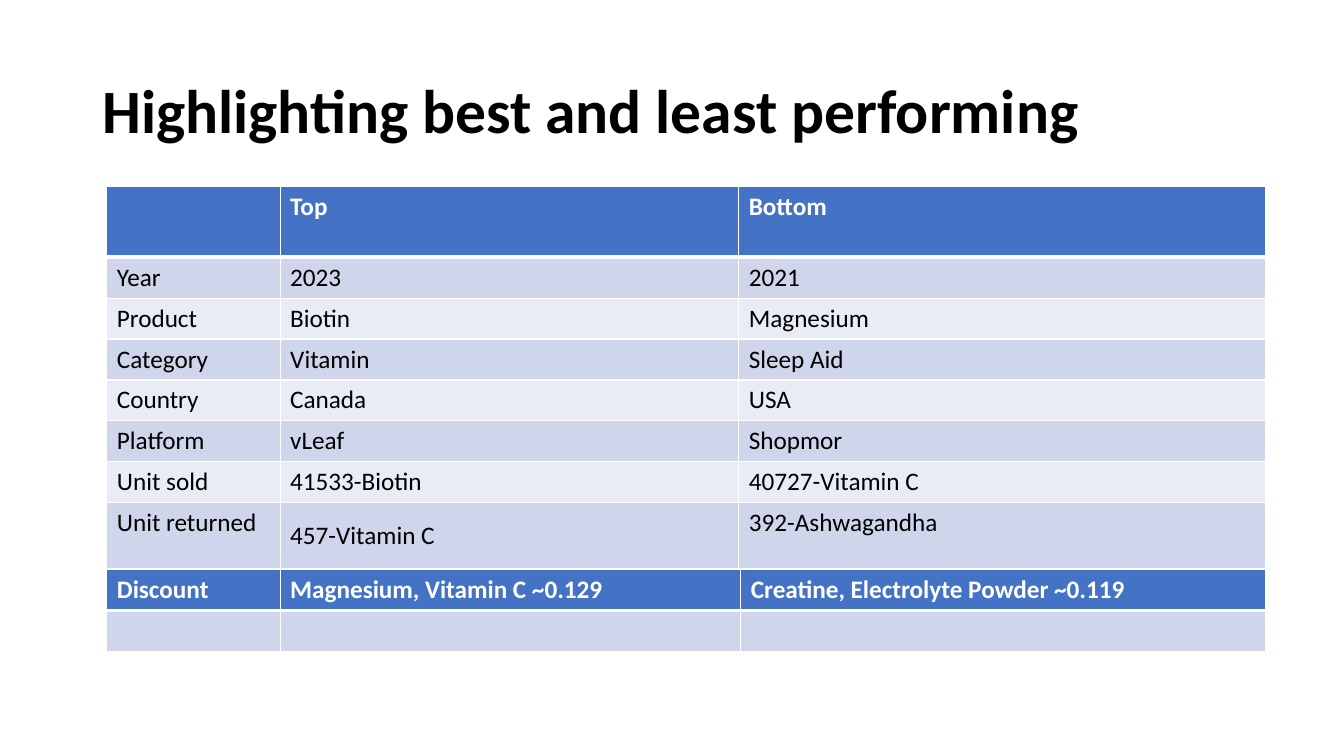
from dataclasses import dataclass

import pptx
import pptx.dml.color
import pptx.enum.text
import pptx.oxml
import pptx.oxml.ns
import pptx.slide
import pptx.table
import pptx.text.text
import pptx.util

Pt = pptx.util.Pt
ANCHOR = pptx.enum.text.MSO_ANCHOR


@dataclass(frozen=True)
class Theme:
    font: str = "Calibri"
    ink: str = "000000"
    white: str = "FFFFFF"
    accent: str = "4472C4"
    band_dark: str = "CFD5EA"
    band_light: str = "E9EBF5"
    title_size: float = 44
    body_size: float = 18
    thin: float = 1
    thick: float = 3


@dataclass(frozen=True)
class TableRow:
    height: float
    label: str = ""
    top: str = ""
    bottom: str = ""
    header: bool = False
    top_anchor: ANCHOR = ANCHOR.TOP


@dataclass(frozen=True)
class TableBlock:
    y: float
    widths: tuple[float, ...]
    rows: tuple[TableRow, ...]


THEME = Theme()
TABLE_X = 76.3
ROW_H = 29.2

PERFORMANCE = TableBlock(133.2, (123.8, 327.6, 376.6), (
    TableRow(50.6, "", "Top", "Bottom", header=True),
    TableRow(ROW_H, "Year", "2023", "2021"),
    TableRow(ROW_H, "Product", "Biotin", "Magnesium"),
    TableRow(ROW_H, "Category", "Vitamin", "Sleep Aid"),
    TableRow(ROW_H, "Country", "Canada", "USA"),
    TableRow(ROW_H, "Platform", "vLeaf", "Shopmor"),
    TableRow(ROW_H, "Unit sold", "41533-Biotin", "40727-Vitamin C"),
    TableRow(47.4, "Unit returned", "457-Vitamin C", "392-Ashwagandha",
             top_anchor=ANCHOR.MIDDLE),
))
DISCOUNT = TableBlock(406.8, (123.8, 329, 375.2), (
    TableRow(ROW_H, "Discount", "Magnesium, Vitamin C ~0.129",
             "Creatine, Electrolyte Powder ~0.119", header=True),
    TableRow(ROW_H),
))


def write(tf: pptx.text.text.TextFrame, text: str, *, size: float = THEME.body_size,
          color: str = THEME.ink, bold: bool = False, spacing: float = 1.0) -> None:
    p = tf.paragraphs[0]
    p.line_spacing = spacing
    p.font.size = Pt(size)
    if not text:
        return
    r = p.add_run()
    r.text = text
    r.font.name = THEME.font
    r.font.size = Pt(size)
    r.font.bold = bold
    r.font.color.rgb = pptx.dml.color.RGBColor.from_string(color)


def set_borders(cell: pptx.table._Cell, top: float, bottom: float) -> None:
    """Draw white borders, thin at the sides, with the given top and bottom widths."""
    tc_pr = cell._tc.get_or_add_tcPr()
    widths = {"L": THEME.thin, "R": THEME.thin, "T": top, "B": bottom}
    for i, (side, width) in enumerate(widths.items()):
        ln = pptx.oxml.parse_xml(
            f'<a:ln{side} {pptx.oxml.ns.nsdecls("a")} w="{Pt(width)}">'
            f'<a:solidFill><a:srgbClr val="{THEME.white}"/></a:solidFill></a:ln{side}>')
        tc_pr.insert(i, ln)


def add_title(slide: pptx.slide.Slide, text: str) -> None:
    tf = slide.shapes.add_textbox(Pt(66), Pt(28.8), Pt(828), Pt(104.4)).text_frame
    tf.word_wrap = True
    tf.vertical_anchor = ANCHOR.MIDDLE
    write(tf, text, size=THEME.title_size, bold=True, spacing=0.9)


def add_block(slide: pptx.slide.Slide, block: TableBlock) -> None:
    """Add a table with a header row and alternating bands below it."""
    frame = slide.shapes.add_table(
        len(block.rows), len(block.widths), Pt(TABLE_X), Pt(block.y),
        Pt(sum(block.widths)), Pt(sum(row.height for row in block.rows)))
    table = frame.table
    table.first_row = table.horz_banding = False
    for column, width in zip(table.columns, block.widths):
        column.width = Pt(width)

    for i, row in enumerate(block.rows):
        table.rows[i].height = Pt(row.height)
        band = THEME.band_dark if i % 2 else THEME.band_light
        fill = THEME.accent if row.header else band
        top = THEME.thick if i == 1 else THEME.thin
        bottom = THEME.thick if row.header else THEME.thin
        anchors = (ANCHOR.TOP, row.top_anchor, ANCHOR.TOP)
        for j, text in enumerate((row.label, row.top, row.bottom)):
            cell = table.cell(i, j)
            cell.fill.solid()
            cell.fill.fore_color.rgb = pptx.dml.color.RGBColor.from_string(fill)
            cell.vertical_anchor = anchors[j]
            set_borders(cell, top, bottom)
            write(cell.text_frame, text, bold=row.header,
                  color=THEME.white if row.header else THEME.ink)


def main() -> None:
    prs = pptx.Presentation()
    prs.slide_width, prs.slide_height = Pt(960), Pt(540)
    s = prs.slides.add_slide(prs.slide_layouts[6])
    add_title(s, "Highlighting best and least performing")
    for block in (PERFORMANCE, DISCOUNT):
        add_block(s, block)
    prs.save("out.pptx")


if __name__ == "__main__":
    main()
